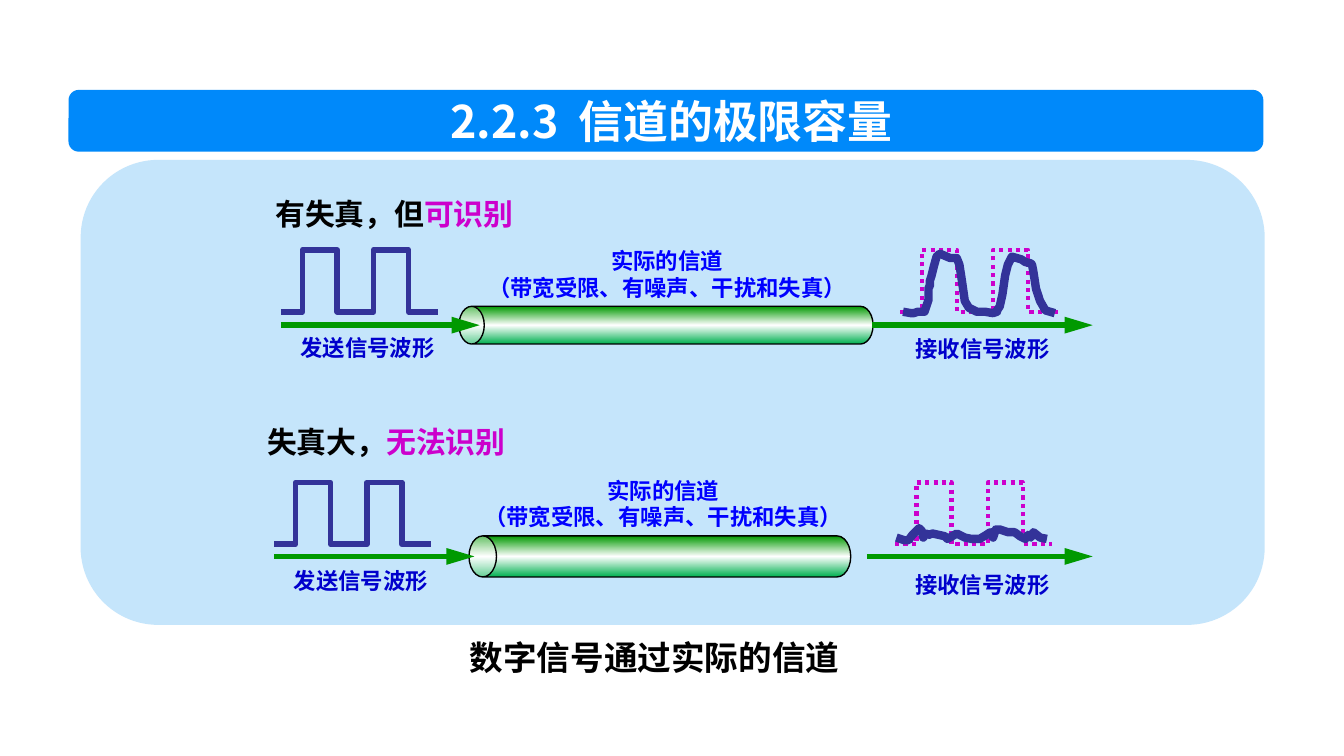
from copy import deepcopy
from dataclasses import dataclass

from lxml.etree import SubElement
from pptx import Presentation
from pptx.dml.color import RGBColor
from pptx.enum.dml import MSO_LINE
from pptx.enum.shapes import MSO_CONNECTOR, MSO_SHAPE
from pptx.enum.text import MSO_ANCHOR, PP_ALIGN
from pptx.oxml.ns import qn
from pptx.util import Pt


@dataclass(frozen=True)
class Theme:
    font: str = "Noto Sans CJK SC"
    bar: str = "0089FA"
    panel: str = "C5E5FB"
    white: str = "FFFFFF"
    black: str = "000000"
    signal: str = "333399"
    accent: str = "CC00CC"
    arrow: str = "009900"
    channel_text: str = "0000FF"
    signal_text: str = "0000CC"
    pipe: tuple = ((0, "00B050"), (0.5, "FFFFFF"), (1, "009900"))
    title_size: float = 24
    caption_size: float = 18
    heading_size: float = 16
    label_size: float = 12


THEME = Theme()
GRID = 0.72  # points per waveform grid step

# Waveforms, in grid steps from their top left corner
PULSES = [(0, 46), (16, 46), (16, 0), (42, 0), (42, 46),
          (69, 46), (69, 0), (95, 0), (95, 46), (117, 46)]
DISTORTED = [
    (0, 43), (6, 44), (8, 44), (11, 43), (16, 43), (19, 34), (19, 25), (20, 24),
    (20, 20), (21, 17), (23, 9), (25, 2), (27, 0), (28, 0), (35, 3), (40, 3),
    (42, 8), (44, 21), (46, 35), (49, 40), (55, 43), (61, 43), (67, 44), (70, 43),
    (70, 42), (72, 39), (74, 30), (76, 16), (78, 8), (81, 2), (88, 4), (91, 6),
    (95, 7), (96, 8), (97, 13), (99, 26), (102, 35), (106, 42), (113, 44)]
LOST = [
    (0, 10), (6, 12), (9, 12), (12, 8), (17, 3), (19, 5), (20, 10), (22, 7),
    (24, 8), (27, 7), (36, 9), (38, 11), (45, 7), (51, 10), (56, 11), (62, 11),
    (67, 8), (70, 6), (72, 10), (74, 4), (77, 4), (83, 6), (88, 6), (92, 9),
    (96, 11), (98, 8), (100, 10), (102, 6), (107, 10), (112, 11)]

# One entry per channel case; boxes are left, top, width, height
CASES = [
    dict(heading=("有失真，但", "可识别"), heading_box=(140.4, 98.2, 144, 28.8),
         heading_pitch=22.4, pipe=(245.9, 221.8, 20.2), axis=174.2,
         sent=(150.5, 133.9), received=(482.4, 133.9),
         arrows=((150.5, 257), (467.3, 585.4)),
         trace=DISTORTED, trace_at=(483.8, 136.1),
         channel_box=(253.4, 128.8, 208.1, 36),
         sent_box=(153.4, 175.6, 87.1, 21.6),
         received_box=(473.8, 176.3, 105.1, 21.6)),
    dict(heading=("失真大，", "无法识别"), heading_box=(136.1, 223.6, 148.3, 26.6),
         heading_pitch=19.2, pipe=(251.3, 204.5, 22), axis=298.1,
         sent=(146.9, 258.5), received=(479.5, 258.5),
         arrows=((146.9, 254.2), (464.4, 585.4)),
         trace=LOST, trace_at=(480.2, 280.8),
         channel_box=(251.3, 251.9, 208.1, 36),
         sent_box=(149.8, 300.1, 87.1, 21.6),
         received_box=(475.9, 302.3, 100.8, 21.6)),
]


def apply(target, values):
    for name, value in values.items():
        setattr(target, name, value)


def rgb(color):
    return RGBColor.from_string(color)


def add_text(shapes, box, lines, size, pitch=None, align=PP_ALIGN.CENTER,
             anchor=MSO_ANCHOR.TOP):
    """Each line is a list of (text, color) spans."""
    frame = shapes.add_textbox(*map(Pt, box)).text_frame
    apply(frame, dict(word_wrap=align == PP_ALIGN.LEFT, vertical_anchor=anchor))
    for index, spans in enumerate(lines):
        para = frame.add_paragraph() if index else frame.paragraphs[0]
        para.alignment = align
        if pitch:
            para.line_spacing = Pt(pitch)
        for text, color in spans:
            span = para.add_run()
            span.text = text
            apply(span.font, dict(name=THEME.font, size=Pt(size), bold=True))
            span.font.color.rgb = rgb(color)
            SubElement(span.font._element, qn("a:ea"), typeface=THEME.font)


def add_label(shapes, box, texts, color):
    lines = [[(text, color)] for text in texts]
    add_text(shapes, box, lines, THEME.label_size, pitch=14.4)


def add_panel(shapes, box, color):
    panel = shapes.add_shape(MSO_SHAPE.ROUNDED_RECTANGLE, *map(Pt, box))
    panel.shadow.inherit = False
    panel.fill.solid()
    panel.fill.fore_color.rgb = rgb(color)
    panel.line.fill.background()


def add_pipe(shapes, left, length, thickness, axis):
    # An upright can turned on its side about its centre
    box = (left + (length - thickness) / 2, axis - length / 2, thickness, length)
    pipe = shapes.add_shape(MSO_SHAPE.CAN, *map(Pt, box))
    apply(pipe, dict(rotation=270))
    pipe.adjustments[0] = 0.67
    pipe.shadow.inherit = False
    pipe.fill.gradient()
    pipe.fill.gradient_angle = 0
    stops = pipe._element.spPr.find(qn("a:gradFill")).find(qn("a:gsLst"))
    stops.append(deepcopy(stops[-1]))
    for stop, (position, color) in zip(pipe.fill.gradient_stops, THEME.pipe):
        stop.position = position
        stop.color.rgb = rgb(color)
    pipe.line.color.rgb = rgb(THEME.black)
    pipe.line.width = Pt(0.75)


def add_wave(shapes, origin, points, color, width, dash=None):
    builder = shapes.build_freeform(*points[0], scale=Pt(GRID))
    builder.add_line_segments(points[1:], close=False)
    wave = builder.convert_to_shape(*map(Pt, origin))
    wave.shadow.inherit = False
    wave.fill.background()
    wave.line.color.rgb = rgb(color)
    apply(wave.line, dict(width=Pt(width), dash_style=dash))


def add_arrow(shapes, start, end, axis):
    arrow = shapes.add_connector(MSO_CONNECTOR.STRAIGHT,
                                 Pt(start), Pt(axis), Pt(end), Pt(axis))
    arrow.line.color.rgb = rgb(THEME.arrow)
    arrow.line.width = Pt(3)
    SubElement(arrow.line._get_or_add_ln(), qn("a:tailEnd"),
               type="triangle", w="med", len="lg")
    SubElement(arrow._element.spPr, qn("a:effectLst"))


def add_case(page, case):
    shapes = page.shapes.add_group_shape().shapes
    # Channel and signals
    add_pipe(shapes, *case["pipe"], case["axis"])
    add_wave(shapes, case["sent"], PULSES, THEME.signal, 3)
    add_wave(shapes, case["received"], PULSES, THEME.accent, 2.25, MSO_LINE.ROUND_DOT)
    for start, end in case["arrows"]:
        add_arrow(shapes, start, end, case["axis"])
    add_wave(shapes, case["trace_at"], case["trace"], THEME.signal, 4.5)
    # Labels
    add_label(shapes, case["channel_box"],
              ["实际的信道", "（带宽受限、有噪声、干扰和失真）"], THEME.channel_text)
    add_label(shapes, case["sent_box"], ["发送信号波形"], THEME.signal_text)
    add_label(shapes, case["received_box"], ["接收信号波形"], THEME.signal_text)
    heading = list(zip(case["heading"], (THEME.black, THEME.accent)))
    add_text(shapes, case["heading_box"], [heading], THEME.heading_size,
             case["heading_pitch"], PP_ALIGN.LEFT)


def main():
    deck = Presentation()
    apply(deck, dict(slide_width=Pt(720), slide_height=Pt(405)))
    page = deck.slides.add_slide(deck.slide_layouts[6])

    # Title bar
    add_panel(page.shapes, (36.7, 48.2, 640.1, 33.1), THEME.bar)
    add_text(page.shapes, (98.6, 50.4, 522, 28.8),
             [[("2.2.3  信道的极限容量", THEME.white)]], THEME.title_size,
             anchor=MSO_ANCHOR.MIDDLE)

    # Channel cases on their panel
    add_panel(page.shapes, (43.2, 85.7, 634.3, 249.1), THEME.panel)
    for case in CASES:
        add_case(page, case)

    # Caption
    add_text(page.shapes, (217.4, 337.5, 266.4, 28.8),
             [[("数字信号通过实际的信道", THEME.black)]], THEME.caption_size, pitch=21.6)
    deck.save("out.pptx")


if __name__ == "__main__":
    main()
